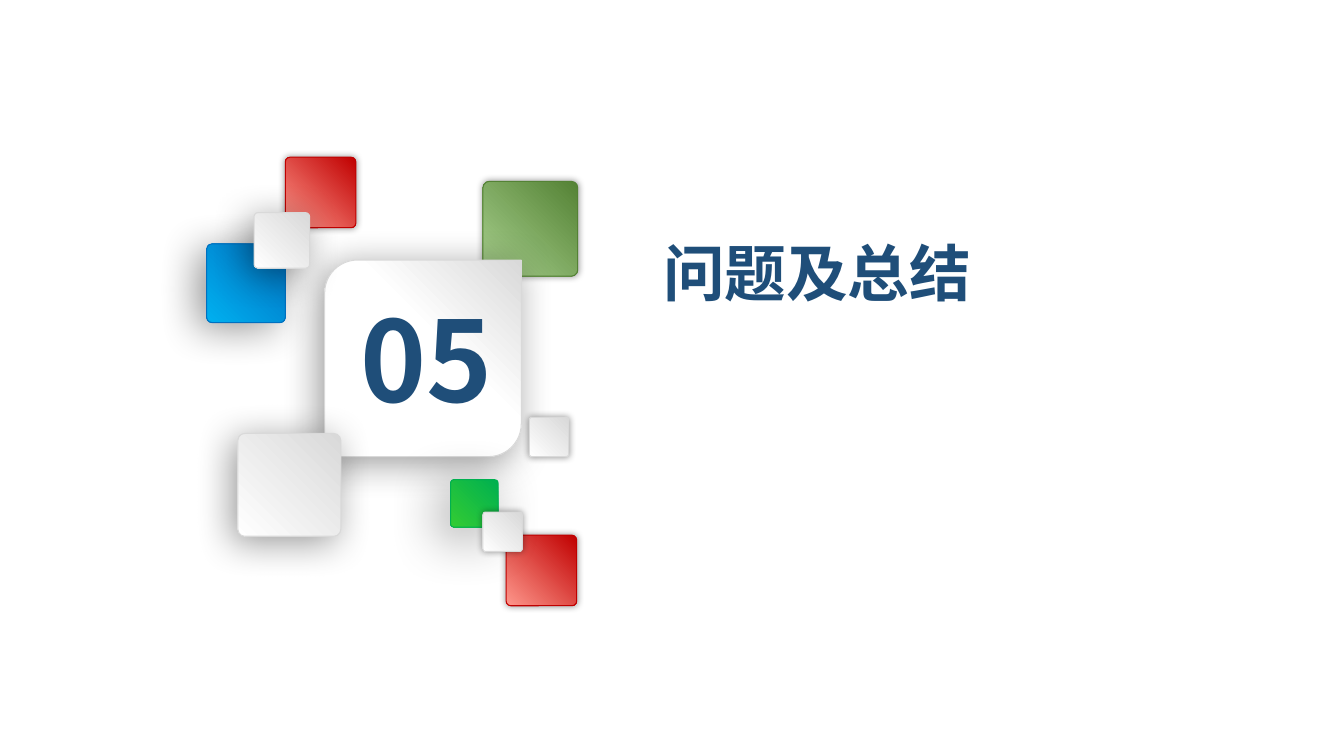
from lxml import etree
from pptx import Presentation
from pptx.dml.color import RGBColor
from pptx.enum.shapes import MSO_SHAPE
from pptx.enum.text import PP_ALIGN
from pptx.oxml.ns import qn
from pptx.util import Inches, Pt

ROUND = MSO_SHAPE.ROUNDED_RECTANGLE
LEAF = MSO_SHAPE.ROUND_2_DIAG_RECTANGLE
LEFT, CENTER = PP_ALIGN.LEFT, PP_ALIGN.CENTER
FONT = "Noto Sans CJK SC"
NAVY = RGBColor(0x1F, 0x4E, 0x79)
RED = RGBColor(0xC0, 0x00, 0x00), RGBColor(0xFE, 0x97, 0x8C)
OLIVE = RGBColor(0x54, 0x82, 0x35), RGBColor(0xA9, 0xD1, 0x8E)
BLUE = RGBColor(0x00, 0x70, 0xC0), RGBColor(0x00, 0xB0, 0xF0)
GREEN = RGBColor(0x00, 0xB0, 0x50), RGBColor(0x33, 0xCC, 0x33)
GRAY = RGBColor(0xD9, 0xD9, 0xD9), RGBColor(0xFF, 0xFF, 0xFF)
FLAT, DEEP = (5, 0, 0), (27, 6, 135)


def add_shadow(shape, blur, dist, angle):
    """Give the shape a black outer shadow at 40% opacity."""
    shape.shadow.inherit = False
    effects = shape._element.spPr.find(qn("a:effectLst"))
    outer = etree.SubElement(
        effects, qn("a:outerShdw"), blurRad=str(Pt(blur)), dist=str(Pt(dist)),
        dir=str(angle * 60000), algn="ctr", rotWithShape="0")
    color = etree.SubElement(outer, qn("a:srgbClr"), val="000000")
    etree.SubElement(color, qn("a:alpha"), val="40000")


def add_tile(slide, x, y, side, colors, shadow, kind=ROUND, stop=1):
    """Draw a square tile shaded from its top right corner."""
    tile = slide.shapes.add_shape(
        kind, Inches(x), Inches(y), Inches(side), Inches(side))
    if kind == ROUND:
        tile.adjustments[0] = 0.067
    tile.fill.gradient()
    tile.fill.gradient_angle = 225
    for mark, color, place in zip(tile.fill.gradient_stops, colors, (0, stop)):
        mark.color.rgb = color
        mark.position = place
    tile.line.color.rgb = colors[0]
    tile.line.width = Pt(0.75)
    add_shadow(tile, *shadow)


def add_text(slide, box, text, size, align=LEFT, wrap=True):
    """Write one bold navy line in a box."""
    frame = slide.shapes.add_textbox(*map(Inches, box)).text_frame
    frame.word_wrap = wrap
    line = frame.paragraphs[0]
    line.alignment = align
    run = line.add_run()
    run.text = text
    run.font.name = FONT
    run.font.size = Pt(size)
    run.font.bold = True
    run.font.color.rgb = NAVY
    props = run.font._element
    etree.SubElement(props, qn("a:ea"), typeface=FONT)


def add_badge(slide, x, y, number):
    """Draw the tile cluster and its section number from a top left point."""
    back = [
        (2.97, 3.75, 0.7, RED, FLAT),
        (2.74, 0.24, 0.94, OLIVE, FLAT),
        (0, 0.86, 0.78, BLUE, (29, 8, 150)),
        (0.78, 0, 0.7, RED, FLAT),
    ]
    front = [
        (0.47, 0.55, 0.55, GRAY, DEEP),
        (3.2, 2.58, 0.39, GRAY, FLAT),
        (2.42, 3.2, 0.47, GREEN, (40, 9, 135)),
        (0.31, 2.74, 1.02, GRAY, DEEP),
        (2.74, 3.52, 0.39, GRAY, FLAT),
    ]
    leaf = (1.17, 1.02, 1.95, GRAY, DEEP, LEAF, 0.42)
    for dx, dy, *look in [*back, leaf, *front]:
        add_tile(slide, x + dx, y + dy, *look)
    add_text(slide, (x + 1.43, y + 1.27, 1.59, 1.45), number, 80, wrap=False)


def add_title(slide, box, text):
    """Write the section title in its box."""
    add_text(slide, box, text, 44, align=CENTER)


def main():
    """Build and save the section slide."""
    deck = Presentation()
    deck.slide_width, deck.slide_height = Inches(13.33), Inches(7.5)
    slide = deck.slides.add_slide(deck.slide_layouts[6])
    add_title(slide, (6.35, 2.28, 3.51, 0.84), "问题及总结")
    add_badge(slide, 2.05, 1.56, "05")
    deck.save("out.pptx")


if __name__ == "__main__":
    main()
